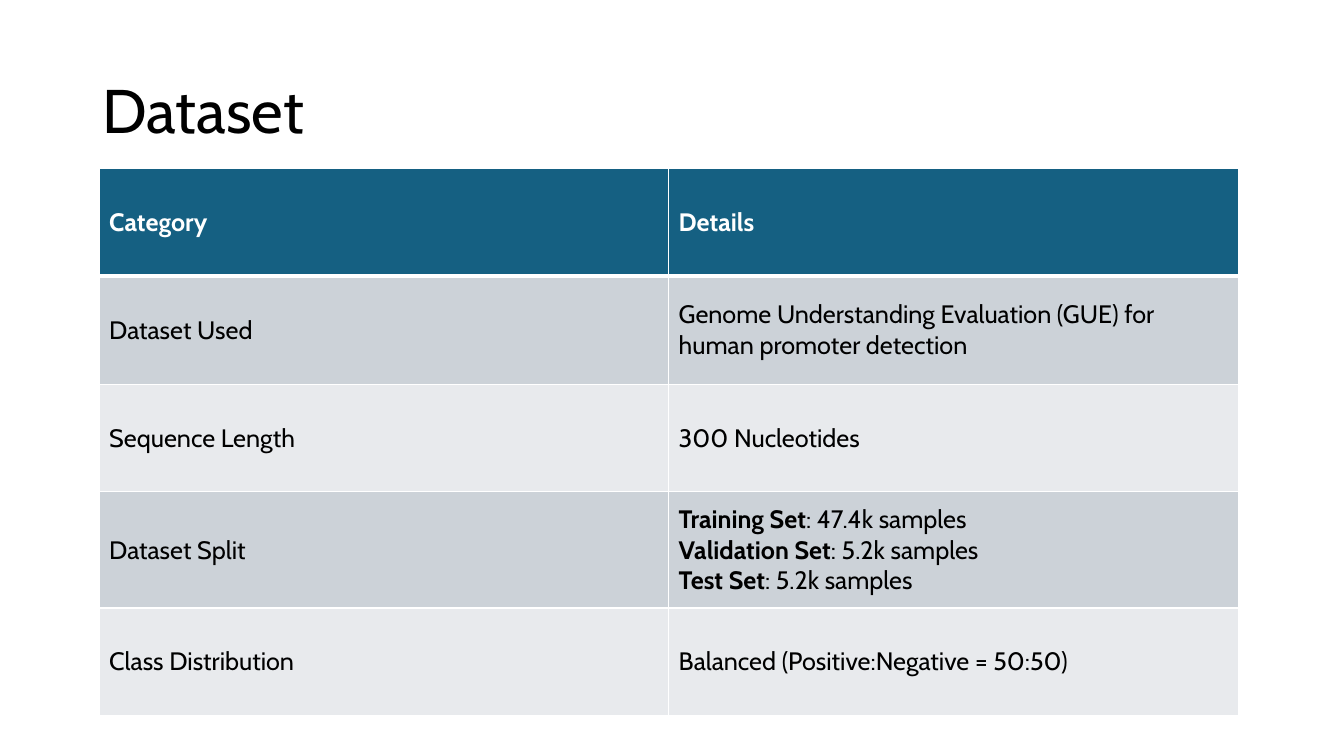
from lxml import etree
from pptx import Presentation
from pptx.dml.color import RGBColor
from pptx.enum.text import MSO_ANCHOR, PP_ALIGN
from pptx.oxml.ns import qn
from pptx.util import Pt

LEFT = PP_ALIGN.LEFT
MIDDLE = MSO_ANCHOR.MIDDLE
TITLE_ONLY = 5

FONT = "Cabin"
BLACK, WHITE = "000000", "FFFFFF"
HEADER_FILL = "156082"
BAND_FILLS = ("CCD2D8", "E8EAED")

COLUMN_WIDTH = 406.8
ROW_HEIGHTS = (77, 77, 77, 83, 77)

# Each cell is a list of paragraphs; a pair is a bold label and its value
ROWS = [
    (["Category"], ["Details"]),
    (["Dataset Used"],
     ["Genome Understanding Evaluation (GUE) for human promoter detection"]),
    (["Sequence Length"], ["300 Nucleotides"]),
    (["Dataset Split"],
     [("Training Set", ": 47.4k samples"),
      ("Validation Set", ": 5.2k samples"),
      ("Test Set", ": 5.2k samples")]),
    (["Class Distribution"], ["Balanced (Positive:Negative = 50:50)"]),
]


def color(hex_code):
    return RGBColor.from_string(hex_code)


def style_font(font, size, hex_code):
    font.name = FONT
    font.size = Pt(size)
    font.color.rgb = color(hex_code)


def set_borders(cell, bottom_width):
    """Draw white lines on all four sides of a cell."""
    properties = cell._tc.get_or_add_tcPr()
    sides = (("a:lnL", 1), ("a:lnR", 1), ("a:lnT", 1), ("a:lnB", bottom_width))
    for position, (side, width) in enumerate(sides):
        line = etree.Element(qn(side), w=str(Pt(width)))
        fill = etree.SubElement(line, qn("a:solidFill"))
        etree.SubElement(fill, qn("a:srgbClr"), val=WHITE)
        properties.insert(position, line)


def fill_cell(cell, entries, is_header, fill_hex):
    cell.vertical_anchor = MIDDLE
    cell.fill.solid()
    cell.fill.fore_color.rgb = color(fill_hex)
    frame = cell.text_frame
    for index, entry in enumerate(entries):
        paragraph = frame.add_paragraph() if index else frame.paragraphs[0]
        style_font(paragraph.font, 18, WHITE if is_header else BLACK)
        label, value = entry if isinstance(entry, tuple) else ("", entry)
        for text, bold in ((label, True), (value, is_header)):
            if text:
                run = paragraph.add_run()
                run.text = text
                run.font.bold = bold
                style_font(run.font, 18, WHITE if is_header else BLACK)


def add_title(slide, text):
    title = slide.shapes.title
    title.left, title.top, title.width, title.height = (
        Pt(66), Pt(28.8), Pt(828), Pt(104.4))
    title.text_frame.text = text
    title.text_frame.vertical_anchor = MIDDLE
    heading = title.text_frame.paragraphs[0]
    heading.alignment = LEFT
    heading.line_spacing = 0.9
    style_font(heading.font, 44, BLACK)


def add_dataset_table(slide):
    dataset = slide.shapes.add_table(
        len(ROWS), 2, Pt(70.8), Pt(120.4),
        Pt(2 * COLUMN_WIDTH), Pt(sum(ROW_HEIGHTS))).table
    for column in dataset.columns:
        column.width = Pt(COLUMN_WIDTH)
    for row_index, (entries_by_column, height) in enumerate(zip(ROWS, ROW_HEIGHTS)):
        dataset.rows[row_index].height = Pt(height)
        is_header = row_index == 0
        fill_hex = HEADER_FILL if is_header else BAND_FILLS[(row_index - 1) % 2]
        for column_index, entries in enumerate(entries_by_column):
            cell = dataset.cell(row_index, column_index)
            fill_cell(cell, entries, is_header, fill_hex)
            set_borders(cell, 3 if is_header else 1)
            if row_index == 1:
                # The edge shared with the header keeps the header's width
                cell._tc.tcPr.find(qn("a:lnT")).set("w", str(Pt(3)))


def main():
    deck = Presentation()
    deck.slide_width, deck.slide_height = Pt(960), Pt(540)
    slide = deck.slides.add_slide(deck.slide_layouts[TITLE_ONLY])
    add_title(slide, "Dataset")
    add_dataset_table(slide)
    deck.save("out.pptx")


if __name__ == "__main__":
    main()
